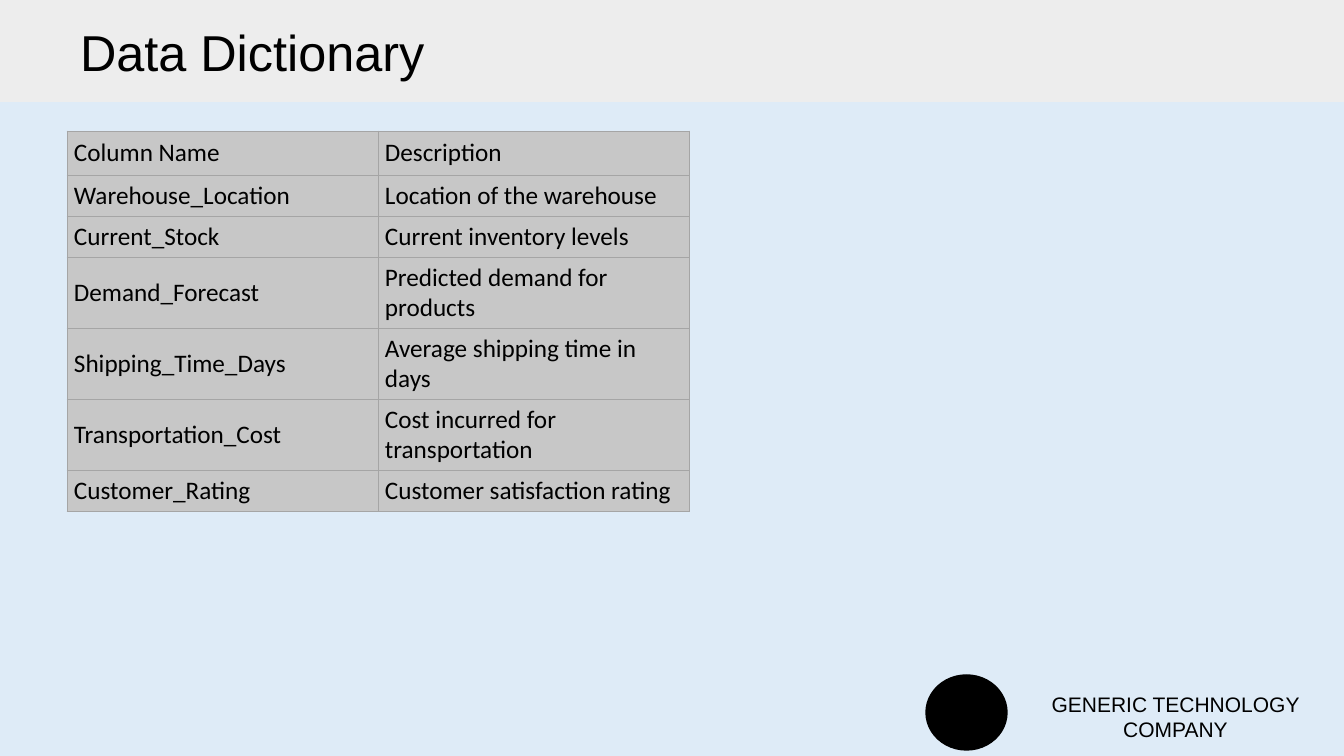
from typing import Any, NamedTuple

import lxml.etree
import pptx
import pptx.dml.color
import pptx.enum.shapes
import pptx.enum.text
import pptx.oxml.ns
import pptx.util

EMU_PER_PX = 914400 / 100.8
SLIDE_WIDTH, SLIDE_HEIGHT = 1344, 756

SKY = pptx.dml.color.RGBColor(0xDE, 0xEB, 0xF7)
BANNER_GREY = pptx.dml.color.RGBColor(0xED, 0xED, 0xED)
CELL_GREY = pptx.dml.color.RGBColor(0xC7, 0xC7, 0xC7)
BORDER_GREY = pptx.dml.color.RGBColor(0xA5, 0xA5, 0xA5)
BLACK = pptx.dml.color.RGBColor(0, 0, 0)

MIDDLE = pptx.enum.text.MSO_ANCHOR.MIDDLE
TOP = pptx.enum.text.MSO_ANCHOR.TOP
LEFT = pptx.enum.text.PP_ALIGN.LEFT
CENTER = pptx.enum.text.PP_ALIGN.CENTER

HEADER_HEIGHT, ONE_LINE, TWO_LINES = 44, 41, 71
COLUMN_WIDTH = 311


class Entry(NamedTuple):
    column_name: str
    description: str
    height: int = ONE_LINE


HEADER = Entry("Column Name", "Description", HEADER_HEIGHT)
ENTRIES = [
    Entry("Warehouse_Location", "Location of the warehouse"),
    Entry("Current_Stock", "Current inventory levels"),
    Entry("Demand_Forecast", "Predicted demand for products", TWO_LINES),
    Entry("Shipping_Time_Days", "Average shipping time in days", TWO_LINES),
    Entry("Transportation_Cost", "Cost incurred for transportation", TWO_LINES),
    Entry("Customer_Rating", "Customer satisfaction rating"),
]


def px(length: int) -> pptx.util.Emu:
    return pptx.util.Emu(round(length * EMU_PER_PX))


def write(frame: Any, text: str, font_name: str, size: int, align: Any = LEFT) -> None:
    paragraph = frame.paragraphs[0]
    paragraph.alignment = align
    run = paragraph.add_run()
    run.text = text
    run.font.name = font_name
    run.font.size = pptx.util.Pt(size)
    run.font.color.rgb = BLACK


def add_cell_borders(cell: Any) -> None:
    properties = cell._tc.get_or_add_tcPr()
    for side in ("a:lnL", "a:lnR", "a:lnT", "a:lnB"):
        border = lxml.etree.SubElement(
            properties, pptx.oxml.ns.qn(side), w=str(pptx.util.Pt(0.5))
        )
        fill = lxml.etree.SubElement(border, pptx.oxml.ns.qn("a:solidFill"))
        lxml.etree.SubElement(fill, pptx.oxml.ns.qn("a:srgbClr"), val=str(BORDER_GREY))


def add_title(slide: Any) -> None:
    banner = slide.shapes.title
    banner.left, banner.top = px(0), px(0)
    banner.width, banner.height = px(SLIDE_WIDTH), px(102)
    banner.fill.solid()
    banner.fill.fore_color.rgb = BANNER_GREY
    frame = banner.text_frame
    frame.margin_left = px(80)
    frame.vertical_anchor = MIDDLE
    write(frame, "Data Dictionary", "Arial", 36)


def add_dictionary(slide: Any) -> None:
    rows = [HEADER, *ENTRIES]
    height = sum(entry.height for entry in rows)
    dictionary = slide.shapes.add_table(
        len(rows), 2, px(67), px(131), px(2 * COLUMN_WIDTH), px(height)
    ).table
    dictionary.first_row = dictionary.horz_banding = False
    for column in dictionary.columns:
        column.width = px(COLUMN_WIDTH)
    for row, entry in zip(dictionary.rows, rows):
        row.height = px(entry.height)
        is_header = entry is HEADER
        for cell, text in zip(row.cells, (entry.column_name, entry.description)):
            cell.margin_left = cell.margin_right = px(7)
            cell.margin_top = cell.margin_bottom = px(7 if is_header else 5)
            cell.vertical_anchor = TOP if is_header else MIDDLE
            add_cell_borders(cell)
            cell.fill.solid()
            cell.fill.fore_color.rgb = CELL_GREY
            write(cell.text_frame, text, "Calibri", 18)


def add_company(slide: Any) -> None:
    emblem = slide.shapes.add_shape(
        pptx.enum.shapes.MSO_SHAPE.OVAL, px(926), px(675), px(81), px(75)
    )
    emblem.shadow.inherit = False
    emblem.fill.solid()
    emblem.fill.fore_color.rgb = BLACK
    emblem.line.color.rgb = BLACK
    emblem.line.width = pptx.util.Pt(1)

    company = slide.shapes.add_textbox(px(1007), px(688), px(337), px(58)).text_frame
    company.word_wrap = True
    company.vertical_anchor = MIDDLE
    write(company, "GENERIC TECHNOLOGY COMPANY", "Arial", 15, CENTER)


def main() -> None:
    presentation = pptx.Presentation()
    presentation.slide_width = px(SLIDE_WIDTH)
    presentation.slide_height = px(SLIDE_HEIGHT)
    title_only = presentation.slide_layouts.get_by_name("Title Only")
    slide = presentation.slides.add_slide(title_only)
    slide.background.fill.solid()
    slide.background.fill.fore_color.rgb = SKY
    add_title(slide)
    add_company(slide)
    add_dictionary(slide)
    presentation.save("out.pptx")


if __name__ == "__main__":
    main()
